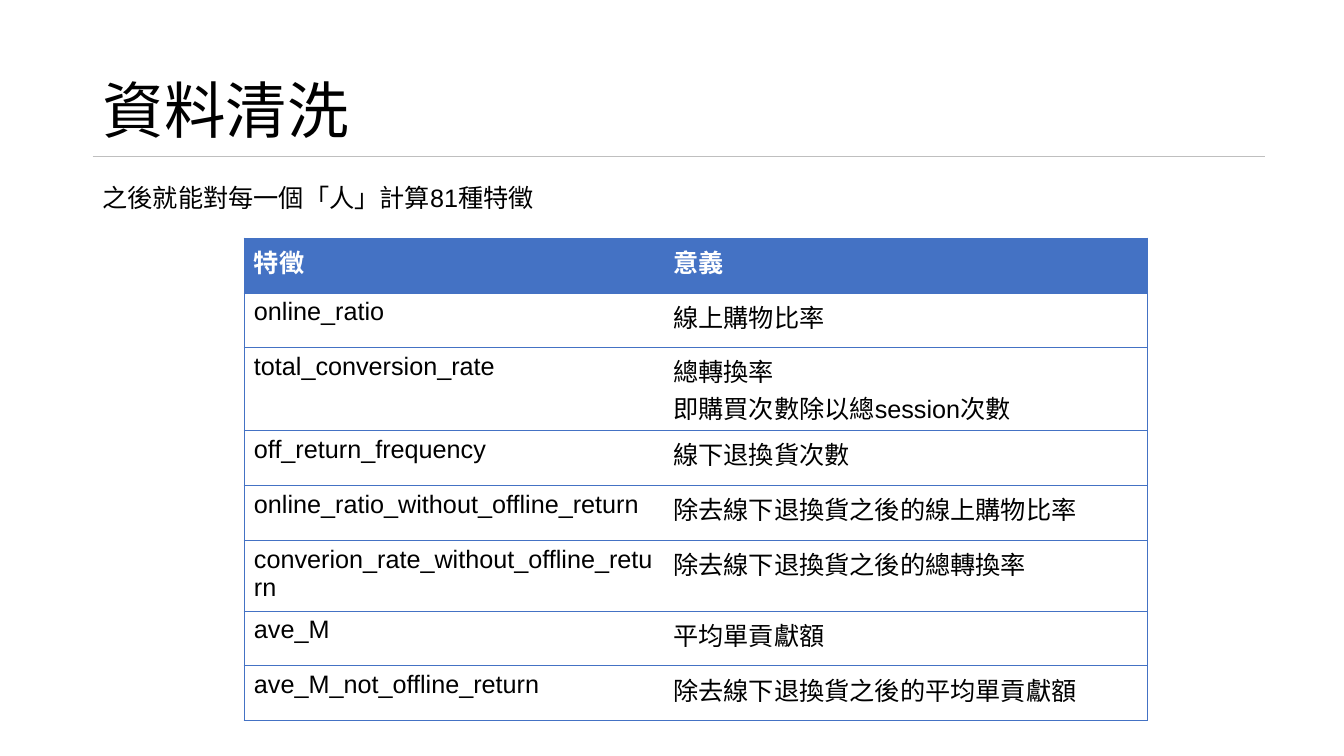
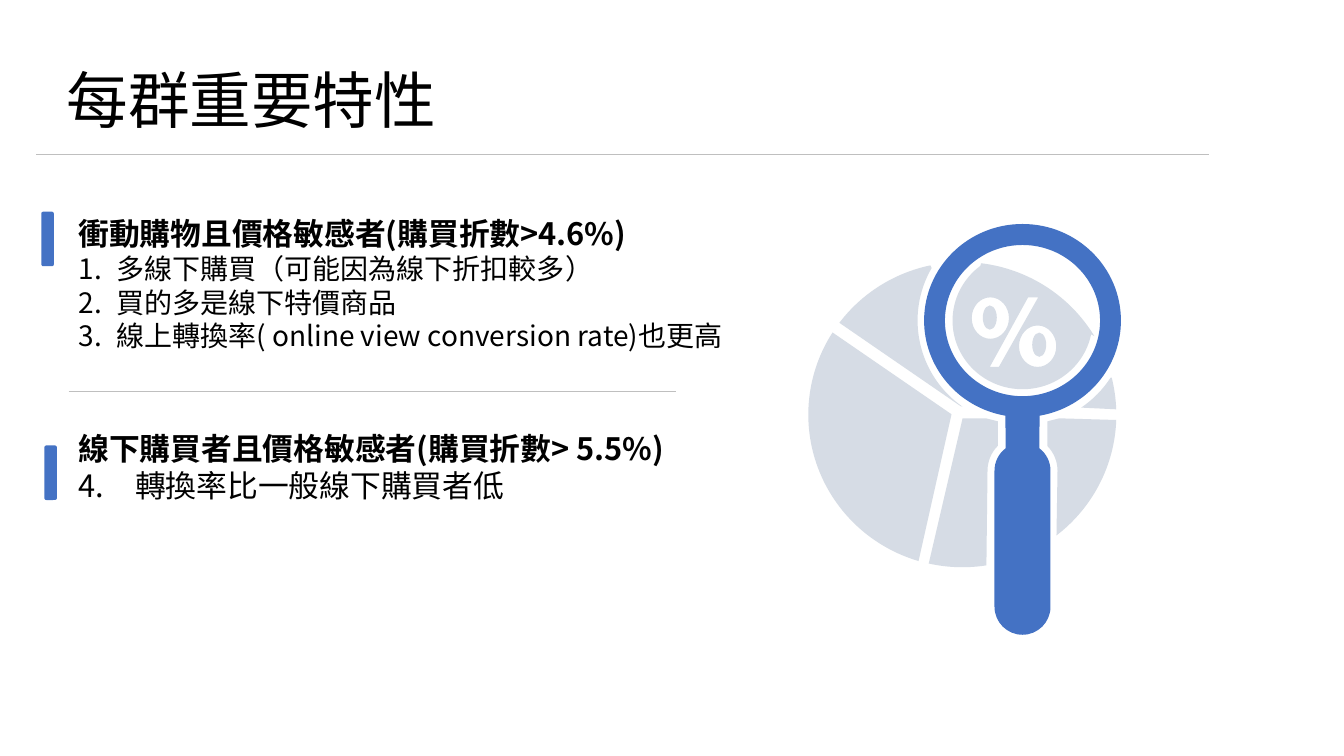
import math

import lxml.etree
import pptx
import pptx.dml.color
import pptx.enum.shapes
import pptx.enum.text
import pptx.oxml.ns
import pptx.util

Pt = pptx.util.Pt
qn = pptx.oxml.ns.qn
SHAPE = pptx.enum.shapes.MSO_SHAPE
BLUE, PALE, GREY, BLACK, WHITE = "4472C4", "D6DCE5", "BFBFBF", "000000", "FFFFFF"
SANS, CJK = "Arial", "Noto Sans CJK TC"


def paint(fill, color):
    fill.solid()
    fill.fore_color.rgb = pptx.dml.color.RGBColor.from_string(color)


def write(frame, text, size=18, font=SANS, color=BLACK, bold=False,
          spacing=None, before=0, start=None, indent=0):
    paragraph = frame.paragraphs[-1]
    if paragraph.runs:
        paragraph = frame.add_paragraph()
    paragraph.alignment = pptx.enum.text.PP_ALIGN.LEFT
    paragraph.line_spacing = spacing
    paragraph.space_before = Pt(before)
    if start:
        props = paragraph._p.get_or_add_pPr()
        props.set("marL", str(Pt(indent)))
        props.set("indent", str(-Pt(indent)))
        lxml.etree.SubElement(props, qn("a:buAutoNum"), type="arabicPeriod", startAt=str(start))
    run = paragraph.add_run()
    run.text = text
    run.font.size = Pt(size)
    run.font.bold = bold
    run.font.name = font
    paint(run.font.fill, color)
    lxml.etree.SubElement(run._r.get_or_add_rPr(), qn("a:ea"), typeface=CJK)


deck = pptx.Presentation()
deck.slide_width, deck.slide_height = Pt(960), Pt(540)

slides = []
for heading, left, top, font in [("資料清洗", 66.2, 28.8, CJK), ("每群重要特性", 40.3, 21.6, SANS)]:
    slide = deck.slides.add_slide(deck.slide_layouts[5])
    title = slide.shapes.title
    title.left, title.top, title.width, title.height = Pt(left), Pt(top), Pt(828), Pt(104.4)
    title.text_frame.auto_size = pptx.enum.text.MSO_AUTO_SIZE.NONE
    title.text_frame.vertical_anchor = pptx.enum.text.MSO_ANCHOR.MIDDLE
    write(title.text_frame, heading, size=44, font=font, spacing=0.9)
    slides.append(slide)
cleaning, traits = slides

for slide, left, top, width in [(cleaning, 66.2, 111.6, 837.4), (traits, 25.9, 110.2, 837.4),
                                (traits, 49, 279.4, 434)]:
    rule = slide.shapes.add_connector(pptx.enum.shapes.MSO_CONNECTOR.STRAIGHT,
                                      Pt(left), Pt(top), Pt(left + width), Pt(top))
    rule.line.width = Pt(0.25)
    paint(rule.line.fill, GREY)
    lxml.etree.SubElement(rule._element.spPr, qn("a:effectLst"))

intro = cleaning.shapes.add_textbox(Pt(66.2), Pt(126.7), Pt(674.6), Pt(29)).text_frame
intro.word_wrap = True
write(intro, "之後就能對每一個「人」計算81種特徵")

features = [
    ("特徵", "意義", 39.2),
    ("online_ratio", "線上購物比率", 39.2),
    ("total_conversion_rate", "總轉換率\n即購買次數除以總session次數", 59.3),
    ("off_return_frequency", "線下退換貨次數", 39.2),
    ("online_ratio_without_offline_return", "除去線下退換貨之後的線上購物比率", 39.2),
    ("converion_rate_without_offline_return", "除去線下退換貨之後的總轉換率", 47.1),
    ("ave_M", "平均單貢獻額", 39.2),
    ("ave_M_not_offline_return", "除去線下退換貨之後的平均單貢獻額", 39.2),
]
feature_table = cleaning.shapes.add_table(len(features), 2, Pt(174.2), Pt(170), Pt(645.1),
                                          Pt(sum(feature[2] for feature in features))).table
feature_table.first_row = feature_table.horz_banding = False
feature_table._tbl.tblPr.find(qn("a:tableStyleId")).text = "{2D5ABB26-0587-4C30-8999-92F81FD0307C}"
feature_table.columns[0].width, feature_table.columns[1].width = Pt(299.5), Pt(345.6)
for row, (name, meaning, height) in enumerate(features):
    feature_table.rows[row].height = Pt(height)
    for column, entry in enumerate((name, meaning)):
        cell = feature_table.cell(row, column)
        for line in entry.split("\n"):
            write(cell.text_frame, line, color=BLACK if row else WHITE, bold=row == 0)
        outer_side = "a:lnR" if column else "a:lnL"
        for side in (outer_side, "a:lnT", "a:lnB"):
            border = lxml.etree.SubElement(cell._tc.get_or_add_tcPr(), qn(side), w=str(Pt(0.5)))
            ink = lxml.etree.SubElement(border, qn("a:solidFill"))
            lxml.etree.SubElement(ink, qn("a:srgbClr"), val=BLUE)
        if row:
            cell.fill.background()
        else:
            paint(cell.fill, BLUE)

groups = traits.shapes.add_textbox(Pt(49), Pt(149.8), Pt(479.5), Pt(242.6)).text_frame
groups.word_wrap = True
write(groups, "衝動購物且價格敏感者(購買折數>4.6%)", size=22, font=CJK, bold=True)
for trait in ("多線下購買（可能因為線下折扣較多）", "買的多是線下特價商品",
              "線上轉換率( online view conversion rate)也更高"):
    write(groups, trait, size=20, font=CJK, start=1, indent=27)
write(groups, "線下購買者且價格敏感者(購買折數> 5.5%)", size=22, font=CJK, bold=True, before=55)
write(groups, "轉換率比一般線下購買者低", size=22, font=CJK, start=4, indent=40.5)

for left, top in [(29.5, 151.2), (31.7, 318.2)]:
    marker = traits.shapes.add_shape(SHAPE.ROUNDED_RECTANGLE, Pt(left), Pt(top), Pt(9), Pt(39))
    marker.shadow.inherit = False
    paint(marker.fill, BLUE)
    marker.line.fill.background()

pie_arc = (687.4, 296.2, 110, 109)
lens = (730.4, 229)
halo_arc = (*lens, 75, 75)
neck = (730.4, 336.2)
neck_halo = (*neck, 25, 25)
outlines = [
    (PALE, [[(*pie_arc, -2, -14), (*halo_arc, 33, 56)]]),
    (PALE, [[(*pie_arc, 212.6, 106.5), (679.7, 295.9)]]),
    (PALE, [[(*pie_arc, 217, 258), (*halo_arc, 210, 125), (686.2, 290.2)]]),
    (PALE, [[(712.8, 301), (704.2, 298.8), (687.6, 298.8), (*pie_arc, 102.6, 81),
             (*neck_halo, 180, 225)]]),
    (PALE, [[(748.1, 301), (*neck_halo, -45, 0), (*pie_arc, 52.3, 2), (756.7, 298.8)]]),
    (BLUE, [[(*lens, 70.3, 69, 80, 0), (*lens, 70.3, 69, 0, -180), (*lens, 70.3, 69, 180, 100),
             (*neck, 20, 20, 233, 180), (730.4, 433.4, 20, 20, 180, 0), (*neck, 20, 20, 0, -53)],
            [(*lens, 55.4, 54, 0, 360)]]),
    (PALE, [[(*lens, 50, 49, 233, 180), (*lens, 50, 49, 180, 11.5), (*pie_arc, -31, -83)],
            [(707.4, 227.2, 13.3, 14.8, 0, 360)],
            [(741.2, 247.3, 13.3, 14.8, 0, 360)],
            [(707, 262.1), (734.4, 212.4), (741.6, 212.4), (713.5, 262.1)]]),
]
magnifier = traits.shapes.add_group_shape().shapes
icon_parts = []
for color, contours in outlines:
    builder = None
    segment_sizes = []
    for contour in contours:
        points = []
        for step in contour:
            if points:
                segment_sizes.append(1)
            if len(step) == 2:
                points.append((Pt(step[0]), Pt(step[1])))
                continue
            x, y, rx, ry, first, last = step
            count = math.ceil(abs(last - first) / 90)
            sweep = math.radians(last - first) / count
            reach = 4 / 3 * math.tan(sweep / 4)
            for i in range(count + 1):
                angle = math.radians(first) + sweep * i
                cos, sin = math.cos(angle), math.sin(angle)
                for pull in [-reach] * (i > 0) + [0] + [reach] * (i < count):
                    points.append((Pt(x + rx * (cos - pull * sin)), Pt(y + ry * (sin + pull * cos))))
            segment_sizes += [3] * count
        if builder is None:
            builder = magnifier.build_freeform(*points[0], scale=1.0)
        else:
            builder.move_to(*points[0])
        builder.add_line_segments(points[1:], close=True)
    outline = builder.convert_to_shape()
    segments = iter(list(outline._element.iter(qn("a:lnTo"))))
    for size in segment_sizes:
        straight = [next(segments) for _ in range(size)]
        if size == 3:
            curve = lxml.etree.Element(qn("a:cubicBezTo"))
            straight[0].addprevious(curve)
            for segment in straight:
                curve.append(segment[0])
                segment.getparent().remove(segment)
    icon_parts.append((outline, color))
for left, top in [(702, 218.2), (737.3, 237.6)]:
    icon_parts.append((magnifier.add_shape(SHAPE.OVAL, Pt(left), Pt(top), Pt(10), Pt(17.3)), PALE))
for part, color in icon_parts:
    part.shadow.inherit = False
    paint(part.fill, color)
    part.line.fill.background()

deck.save("out.pptx")
